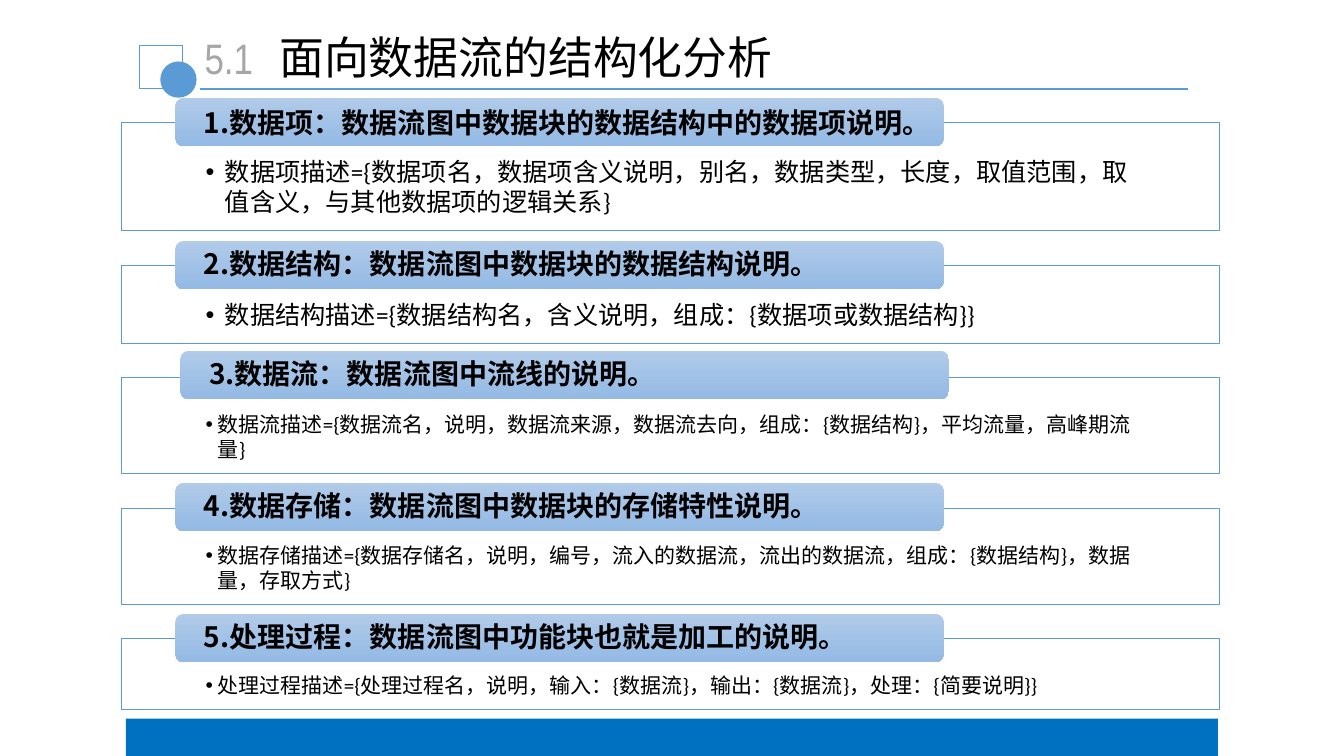
from dataclasses import dataclass

from lxml import etree
from pptx import Presentation
from pptx.dml.color import RGBColor
from pptx.enum.shapes import MSO_CONNECTOR, MSO_SHAPE
from pptx.enum.text import MSO_ANCHOR, MSO_AUTO_SIZE, PP_ALIGN
from pptx.oxml.ns import qn
from pptx.util import Inches, Pt

RECT = MSO_SHAPE.RECTANGLE
ROUNDED = MSO_SHAPE.ROUNDED_RECTANGLE
OVAL = MSO_SHAPE.OVAL
STRAIGHT = MSO_CONNECTOR.STRAIGHT
TOP, MIDDLE = MSO_ANCHOR.TOP, MSO_ANCHOR.MIDDLE
LEFT, CENTER = PP_ALIGN.LEFT, PP_ALIGN.CENTER
NO_AUTOFIT = MSO_AUTO_SIZE.NONE
TITLE_ONLY = 5


@dataclass(frozen=True)
class Theme:
    accent: str = "5B9BD5"
    footer: str = "0070C0"
    panel: str = "FFFFFF"
    tab_top: str = "B1CBE9"
    tab_bottom: str = "93B9E4"
    text: str = "000000"
    muted: str = "A6A6A6"
    body_font: str = "Calibri"
    heading_font: str = "Noto Sans CJK SC"
    number_font: str = "Arial Narrow"
    title_size: float = 32
    number_size: float = 30.4
    heading_size: float = 20
    large_size: float = 18
    small_size: float = 15


THEME = Theme()


@dataclass(frozen=True)
class Entry:
    top: float
    height: float
    heading: str
    body: str
    size: float = THEME.small_size
    indent: float = 0.12
    tab_left: float = 1.74
    tab_rise: float = 0.24
    spacing: float = 0.9


ENTRIES = [
    Entry(1.21, 1.08, "1.数据项：数据流图中数据块的数据结构中的数据项说明。",
          "数据项描述={数据项名，数据项含义说明，别名，数据类型，长度，取值范围，取值含义，与其他数据项的逻辑关系}",
          size=THEME.large_size, indent=0.19, spacing=1.0),
    Entry(2.63, 0.78, "2.数据结构：数据流图中数据块的数据结构说明。",
          "数据结构描述={数据结构名，含义说明，组成：{数据项或数据结构}}",
          size=THEME.large_size, indent=0.19),
    Entry(3.74, 0.96, "3.数据流：数据流图中流线的说明。",
          "数据流描述={数据流名，说明，数据流来源，数据流去向，组成：{数据结构}，平均流量，高峰期流量}",
          tab_left=1.79, tab_rise=0.26),
    Entry(5.04, 0.96, "4.数据存储：数据流图中数据块的存储特性说明。",
          "数据存储描述={数据存储名，说明，编号，流入的数据流，流出的数据流，组成：{数据结构}，数据量，存取方式}",
          tab_rise=0.25),
    Entry(6.33, 0.71, "5.处理过程：数据流图中功能块也就是加工的说明。",
          "处理过程描述={处理过程名，说明，输入：{数据流}，输出：{数据流}，处理：{简要说明}}"),
]


def rgb(color):
    return RGBColor.from_string(color)


def add_box(slide, kind, left, top, width, height, fill=None, line=None, weight=0.5):
    sp = slide.shapes.add_shape(kind, Inches(left), Inches(top), Inches(width), Inches(height))
    sp.shadow.inherit = False
    if fill:
        sp.fill.solid()
        sp.fill.fore_color.rgb = rgb(fill)
    else:
        sp.fill.background()
    if line:
        sp.line.color.rgb = rgb(line)
        sp.line.width = Pt(weight)
    else:
        sp.line.fill.background()
    return sp


def set_text(sp, text, font, size, color=THEME.text, bold=False, align=LEFT,
             anchor=TOP, insets=(0.1, 0.05, 0.1, 0.05), spacing=1.0):
    tf = sp.text_frame
    tf.word_wrap = True
    tf.auto_size = NO_AUTOFIT
    tf.vertical_anchor = anchor
    tf.margin_left, tf.margin_top, tf.margin_right, tf.margin_bottom = map(Inches, insets)
    p = tf.paragraphs[0]
    p.text = text
    p.alignment = align
    p.line_spacing = spacing
    p.space_before = Pt(0)
    p.font.name = font
    p.font.size = Pt(size)
    p.font.bold = bold
    p.font.color.rgb = rgb(color)
    def_rpr = p._p.pPr.find(qn("a:defRPr"))
    etree.SubElement(def_rpr, qn("a:ea")).set("typeface", font)
    return p


def add_bullet(p, indent):
    ppr = p._p.get_or_add_pPr()
    ppr.set("marL", str(Inches(indent)))
    ppr.set("indent", str(-Inches(indent)))
    def_rpr = ppr.find(qn("a:defRPr"))
    for tag, key, value in (("a:buFont", "typeface", "Arial"), ("a:buChar", "char", "•")):
        bullet = etree.Element(qn(tag))
        bullet.set(key, value)
        def_rpr.addprevious(bullet)


def add_header(slide):
    rule = slide.shapes.add_connector(STRAIGHT, Inches(1.98), Inches(0.88),
                                      Inches(11.78), Inches(0.88))
    rule.line.color.rgb = rgb(THEME.accent)
    rule.line.width = Pt(1.25)
    etree.SubElement(rule._element.spPr, qn("a:effectLst"))
    add_box(slide, RECT, 1.38, 0.45, 0.43, 0.43, line=THEME.accent, weight=0.75)
    add_box(slide, OVAL, 1.59, 0.61, 0.36, 0.36, fill=THEME.accent)

    number = slide.shapes.add_textbox(Inches(1.77), Inches(0.27), Inches(1), Inches(0.62))
    set_text(number, "5.1", THEME.number_font, THEME.number_size,
             color=THEME.muted, align=CENTER)

    title = slide.shapes.title
    title.left, title.top = Inches(2.67), Inches(0.24)
    title.width, title.height = Inches(6.85), Inches(0.65)
    set_text(title, "面向数据流的结构化分析", THEME.body_font, THEME.title_size)


def add_panel(slide, entry):
    sp = add_box(slide, RECT, 1.2, entry.top, 10.89, entry.height,
                 fill=THEME.panel, line=THEME.accent)
    color = sp._element.spPr.find(qn("a:solidFill"))[0]
    etree.SubElement(color, qn("a:alpha")).set("val", "90000")
    p = set_text(sp, entry.body, THEME.body_font, entry.size,
                 insets=(0.84, 0.34, 0.85, 0.12))
    add_bullet(p, entry.indent)


def add_tab(slide, entry):
    sp = add_box(slide, ROUNDED, entry.tab_left, entry.top - entry.tab_rise, 7.62, 0.48)
    sp.fill.gradient()
    sp.fill.gradient_angle = 270
    for stop, color in zip(sp.fill.gradient_stops, (THEME.tab_top, THEME.tab_bottom)):
        stop.color.rgb = rgb(color)
    set_text(sp, entry.heading, THEME.heading_font, THEME.heading_size, bold=True,
             anchor=MIDDLE, insets=(0.26, 0, 0.05, 0), spacing=entry.spacing)


def main():
    prs = Presentation()
    prs.slide_width, prs.slide_height = Inches(13.33), Inches(7.5)
    slide = prs.slides.add_slide(prs.slide_layouts[TITLE_ONLY])
    add_header(slide)
    add_box(slide, RECT, 1.25, 7.13, 10.83, 0.37, fill=THEME.footer)
    for entry in ENTRIES:
        add_panel(slide, entry)
        add_tab(slide, entry)
    prs.save("out.pptx")


if __name__ == "__main__":
    main()
